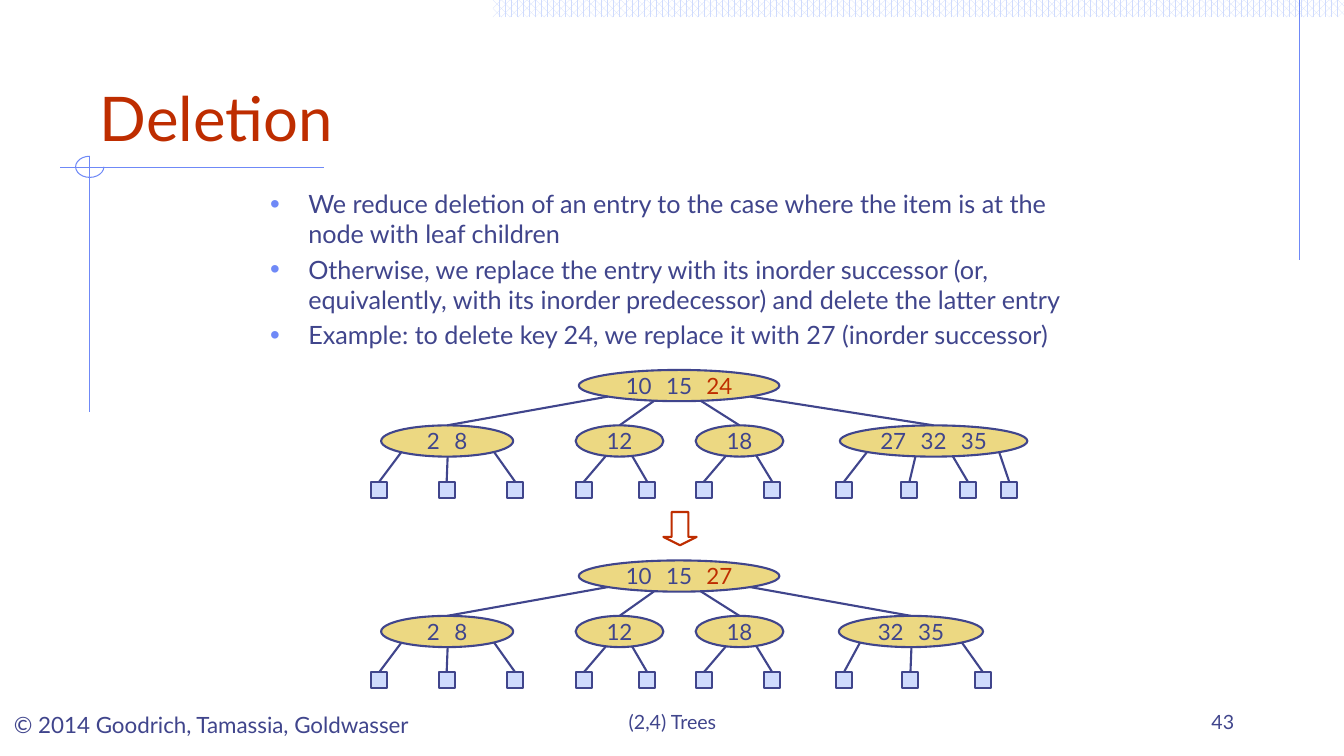
import math

import pptx
import pptx.dml.color
import pptx.enum.dml
import pptx.enum.shapes
import pptx.enum.text
import pptx.oxml
import pptx.oxml.ns
import pptx.util
from pptx.util import Inches

RGBColor = pptx.dml.color.RGBColor
SHAPE = pptx.enum.shapes.MSO_SHAPE
ALIGN = pptx.enum.text.PP_ALIGN
ANCHOR = pptx.enum.text.MSO_ANCHOR

INK = RGBColor(0x40, 0x45, 0x8C)
RED = RGBColor(0xBE, 0x2D, 0x00)
SAND = RGBColor(0xEC, 0xD8, 0x82)
PALE_BLUE = RGBColor(0xCF, 0xDB, 0xFD)
BLUE = RGBColor(0x6F, 0x89, 0xF7)
WHITE = RGBColor(0xFF, 0xFF, 0xFF)

NODE_HEIGHT = 0.31
LEAF_SIZE = 0.16
KEY_GAP = 6.2  # extra points after the space between two keys
TREE_STEP = 1.89

BULLETS = [
    "We reduce deletion of an entry to the case where the item is at the node with leaf children",
    "Otherwise, we replace the entry with its inorder successor (or, equivalently, "
    "with its inorder predecessor) and delete the latter entry",
    "Example: to delete key 24, we replace it with 27 (inorder successor)",
]

# Each child: left, width, keys, x on the root, [(x on the node, leaf centre)]
SHARED_CHILDREN = [
    (3.78, 1.31, ["2", "8"], 6.03, [(3.98, 3.76), (4.44, 4.43), (4.9, 5.11)]),
    (5.71, 0.87, ["12"], 6.49, [(6.01, 5.79), (6.27, 6.42)]),
    (6.9, 0.87, ["18"], 6.95, [(7.2, 6.98), (7.5, 7.66)]),
]
CHILD_BEFORE = (8.33, 1.86, ["27", "32", "35"], 7.44,
                [(8.6, 8.37), (9.08, 9.02), (9.45, 9.6), (9.91, 10.01)])
CHILD_AFTER = (8.32, 1.43, ["32", "35"], 7.44,
               [(8.53, 8.37), (9.04, 9.03), (9.54, 9.75)])


def write_text(paragraph, text, size=16, color=INK, spacing=None):
    run = paragraph.add_run()
    run.text = text
    run.font.name = "Lato"
    run.font.size = pptx.util.Pt(size)
    run.font.color.rgb = color
    if spacing:
        run.font._element.set("spc", str(round(spacing * 100)))


class TreeSlide:
    """Holds the slide and draws its elements in one style."""

    def __init__(self, slide, font="Lato", line_width=1.5):
        self.slide = slide
        self.font = font
        self.line_width = line_width

    def title(self, text, box):
        title = self.slide.shapes.title
        title.left, title.top, title.width, title.height = map(Inches, box)
        frame = title.text_frame
        frame.auto_size = pptx.enum.text.MSO_AUTO_SIZE.NONE
        frame.vertical_anchor = ANCHOR.BOTTOM
        frame.paragraphs[0].alignment = ALIGN.LEFT
        write_text(frame.paragraphs[0], text, size=44, color=RED)

    def text_box(self, box, text="", size=14, align=ALIGN.LEFT, anchor=ANCHOR.BOTTOM):
        frame = self.slide.shapes.add_textbox(*map(Inches, box)).text_frame
        frame.word_wrap = True
        frame.vertical_anchor = anchor
        frame.paragraphs[0].alignment = align
        if text:
            write_text(frame.paragraphs[0], text, size=size)
        return frame

    def bullets(self, box, items):
        frame = self.text_box(box, anchor=ANCHOR.TOP)
        for index, item in enumerate(items):
            paragraph = frame.add_paragraph() if index else frame.paragraphs[0]
            paragraph.space_before = pptx.util.Pt(3.6)
            write_text(paragraph, item, size=18)
            properties = paragraph._p.get_or_add_pPr()
            properties.set("marL", str(Inches(0.38)))
            properties.set("indent", str(Inches(-0.38)))
            for markup in (f'<a:buClr %s><a:srgbClr val="{BLUE}"/></a:buClr>',
                           '<a:buSzPct %s val="110000"/>',
                           '<a:buFont %s typeface="Arial"/>',
                           '<a:buChar %s char="•"/>'):
                properties.append(pptx.oxml.parse_xml(markup % pptx.oxml.ns.nsdecls("a")))

    def shape(self, kind, box, fill=None, line=INK, width=None):
        shape = self.slide.shapes.add_shape(kind, *map(Inches, box))
        shape.shadow.inherit = False
        if fill is None:
            shape.fill.background()
        else:
            shape.fill.solid()
            shape.fill.fore_color.rgb = fill
        if line is None:
            shape.line.fill.background()
        else:
            shape.line.color.rgb = line
            shape.line.width = pptx.util.Pt(width or self.line_width)
        return shape

    def line(self, start, end, color=INK, width=None):
        connector = self.slide.shapes.add_connector(
            pptx.enum.shapes.MSO_CONNECTOR.STRAIGHT, *map(Inches, start + end))
        connector.line.color.rgb = color
        connector.line.width = pptx.util.Pt(width or self.line_width)
        connector._element.spPr.append(
            pptx.oxml.parse_xml("<a:effectLst %s/>" % pptx.oxml.ns.nsdecls("a")))

    def node(self, left, top, width, keys, marked=None):
        """Draws a node and returns a function giving its lower edge at x."""
        ellipse = self.shape(SHAPE.OVAL, (left, top, width, NODE_HEIGHT), SAND)
        frame = ellipse.text_frame
        frame.word_wrap = False
        frame.vertical_anchor = ANCHOR.MIDDLE
        paragraph = frame.paragraphs[0]
        paragraph.alignment = ALIGN.CENTER
        for index, key in enumerate(keys):
            if index:
                write_text(paragraph, " ", spacing=KEY_GAP)
            write_text(paragraph, key, color=RED if key == marked else INK)

        def lower_edge(x):
            offset = (x - left - width / 2) / (width / 2)
            return top + NODE_HEIGHT / 2 * (1 + math.sqrt(1 - offset ** 2))
        return lower_edge

    def tree(self, top, marked, children):
        child_top, leaf_top = top + 0.55, top + 1.11
        root_edge = self.node(5.74, top, 1.99, ["10", "15", marked], marked)
        for left, width, keys, root_x, leaves in children:
            node_edge = self.node(left, child_top, width, keys)
            self.line((root_x, root_edge(root_x)), (left + width / 2, child_top))
            for node_x, leaf_x in leaves:
                self.line((node_x, node_edge(node_x)), (leaf_x, leaf_top))
                self.shape(SHAPE.RECTANGLE,
                           (leaf_x - LEAF_SIZE / 2, leaf_top, LEAF_SIZE, LEAF_SIZE), PALE_BLUE)


def main():
    presentation = pptx.Presentation()
    presentation.slide_width = Inches(13.33)
    presentation.slide_height = Inches(7.5)
    page = TreeSlide(presentation.slides.add_slide(presentation.slide_layouts[5]))

    # Decoration
    band = page.shape(SHAPE.RECTANGLE, (4.89, 0, 8.44, 0.17), line=None)
    band.fill.patterned()
    band.fill.pattern = pptx.enum.dml.MSO_PATTERN.PERCENT_60
    band.fill.fore_color.rgb = PALE_BLUE
    band.fill.back_color.rgb = WHITE
    for start, end in [((12.89, 0), (12.89, 2.58)),
                       ((0.6, 1.66), (3.21, 1.66)),
                       ((0.89, 1.55), (0.89, 4.09))]:
        page.line(start, end, BLUE, 0.75)
    arc = page.shape(SHAPE.ARC, (0.75, 1.55, 0.28, 0.21), line=BLUE, width=0.75)
    arc.adjustments[0], arc.adjustments[1] = 0, 162  # right round to the top

    # Title, bullets and footer
    page.title("Deletion", (0.89, 0.33, 11.33, 1.25))
    page.bullets((2.58, 1.82, 8.5, 1.92), BULLETS)
    page.text_box((0.04, 7, 4.22, 0.37), "© 2014 Goodrich, Tamassia, Goldwasser", 16)
    page.text_box((4.56, 6.83, 4.22, 0.5), "(2,4) Trees", align=ALIGN.CENTER)
    page.text_box((9.56, 6.83, 2.78, 0.5), "43", align=ALIGN.RIGHT)

    # Trees before and after the deletion
    page.tree(3.67, "24", SHARED_CHILDREN + [CHILD_BEFORE])
    arrow = page.shape(SHAPE.DOWN_ARROW, (6.58, 5.08, 0.33, 0.33), line=RED)
    arrow.adjustments[1] = 0.25
    page.tree(3.67 + TREE_STEP, "27", SHARED_CHILDREN + [CHILD_AFTER])

    presentation.save("out.pptx")


if __name__ == "__main__":
    main()
